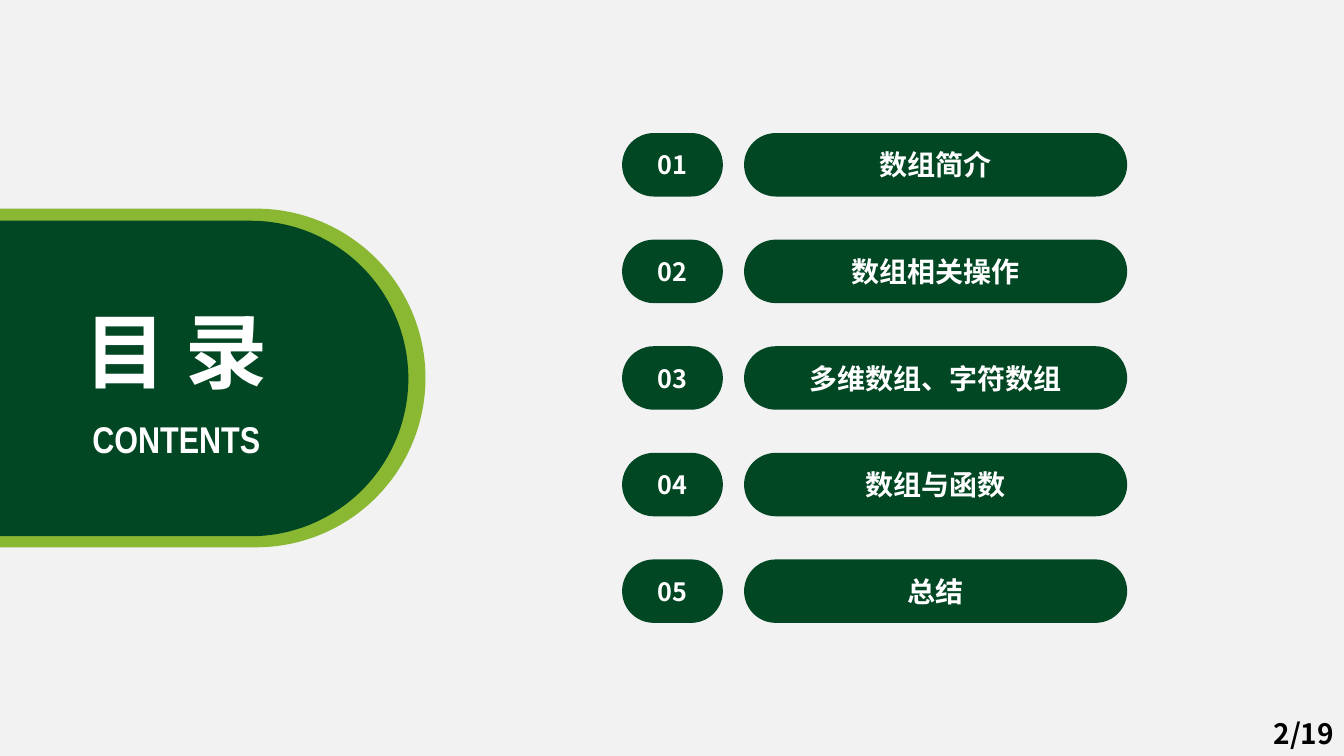
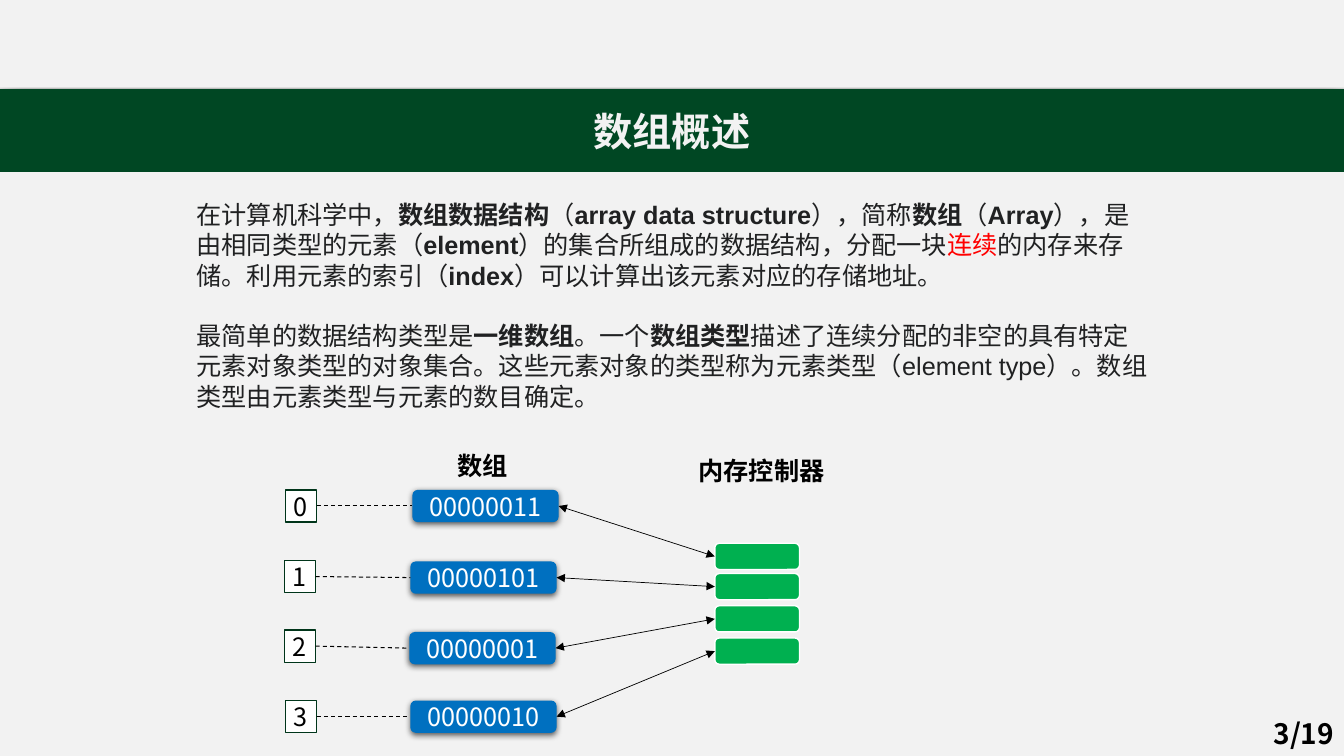
from lxml import etree
from pptx import Presentation
from pptx.dml.color import RGBColor
from pptx.enum.dml import MSO_LINE
from pptx.enum.shapes import MSO_CONNECTOR, MSO_SHAPE
from pptx.enum.text import MSO_ANCHOR, PP_ALIGN
from pptx.oxml.ns import qn
from pptx.util import Pt

PX = 9144
SLIDE_W, SLIDE_H = 1333, 750
PAGE_COUNT = 19

RECT, ROUNDED = MSO_SHAPE.RECTANGLE, MSO_SHAPE.ROUNDED_RECTANGLE
STRAIGHT = MSO_CONNECTOR.STRAIGHT
LEFT, CENTER, RIGHT = PP_ALIGN.LEFT, PP_ALIGN.CENTER, PP_ALIGN.RIGHT
TOP, MIDDLE = MSO_ANCHOR.TOP, MSO_ANCHOR.MIDDLE
DASH = MSO_LINE.DASH
SITE_LEFT, SITE_RIGHT = 1, 3

BACKGROUND = RGBColor(0xF2, 0xF2, 0xF2)
WHITE = RGBColor(0xFF, 0xFF, 0xFF)
BLACK = RGBColor(0x00, 0x00, 0x00)
DARK_GREEN = RGBColor(0x01, 0x47, 0x23)
BAND_GREEN = RGBColor(0x00, 0x47, 0x23)
BORDER_GREEN = RGBColor(0x00, 0x35, 0x1A)
LIME = RGBColor(0x8A, 0xB8, 0x33)
BLUE = RGBColor(0x00, 0x70, 0xC0)
MEMORY_GREEN = RGBColor(0x00, 0xB0, 0x50)
INK = RGBColor(0x20, 0x21, 0x22)
RED = RGBColor(0xFF, 0x00, 0x00)

SANS, LATIN, NARROW = "Noto Sans CJK SC", "Arial", "Arial Narrow"

CHAPTERS = ["数组简介", "数组相关操作", "多维数组、字符数组", "数组与函数", "总结"]
CHAPTER_TOP, CHAPTER_STEP, CHAPTER_H = 132, 105.75, 63

PLAIN, BOLD, ACCENT = "plain", "bold", "accent"
OVERVIEW = [
    [
        ("在计算机科学中，", PLAIN),
        ("数组数据结构", BOLD),
        ("（", PLAIN),
        ("array data structure", BOLD),
        ("），简称", PLAIN),
        ("数组", BOLD),
        ("（", PLAIN),
        ("Array", BOLD),
        ("），是由相同类型的元素（", PLAIN),
        ("element", BOLD),
        ("）的集合所组成的数据结构，分配一块", PLAIN),
        ("连续", ACCENT),
        ("的内存来存储。利用元素的索引（", PLAIN),
        ("index", BOLD),
        ("）可以计算出该元素对应的存储地址。", PLAIN),
    ],
    [
        ("最简单的数据结构类型是", PLAIN),
        ("一维数组", BOLD),
        ("。一个", PLAIN),
        ("数组类型", BOLD),
        ("描述了连续分配的非空的具有特定元素对象类型的对象集合。"
         "这些元素对象的类型称为元素类型（element type）。"
         "数组类型由元素类型与元素的数目确定。", PLAIN),
    ],
]
OVERVIEW_LINE = Pt(21.6)

ELEMENTS = [
    {"value": "00000011", "index_at": (283, 486), "cell_at": (409, 486), "memory_top": 539},
    {"value": "00000101", "index_at": (282, 556), "cell_at": (407, 557), "memory_top": 569},
    {"value": "00000001", "index_at": (282, 625), "cell_at": (406, 627), "memory_top": 601},
    {"value": "00000010", "index_at": (283, 695), "cell_at": (407, 695), "memory_top": 633},
]
DIAGRAM_LABELS = [("数组", (444, 442, 71, 40)), ("内存控制器", (683, 447, 146, 40))]


def emu(lengths):
    return [round(length * PX) for length in lengths]


def style(paragraph, size, color, font=SANS, bold=False, align=CENTER):
    paragraph.alignment = align
    paragraph.font.size = Pt(size)
    paragraph.font.bold = bold
    paragraph.font.color.rgb = color
    paragraph.font.name = font
    defaults = paragraph._p.pPr.find(qn("a:defRPr"))
    etree.SubElement(defaults, qn("a:ea"), typeface=font)


def add_shadow(shape, alpha, blur, distance):
    effects = shape._element.spPr.find(qn("a:effectLst"))
    shadow = etree.SubElement(
        effects, qn("a:outerShdw"), blurRad=str(Pt(blur)), dist=str(Pt(distance)),
        dir="5400000", algn="t", rotWithShape="0")
    color = etree.SubElement(shadow, qn("a:srgbClr"), val=str(BLACK))
    etree.SubElement(color, qn("a:alpha"), val=str(alpha * 1000))


def add_block(slide, kind, box, fill, border=None, radius=None):
    block = slide.shapes.add_shape(kind, *emu(box))
    block.shadow.inherit = False
    block.fill.solid()
    block.fill.fore_color.rgb = fill
    if border is None:
        block.line.fill.background()
    else:
        block.line.color.rgb = border
        block.line.width = Pt(1)
    if radius is not None:
        block.adjustments[0] = radius
    return block


def write(block, text, size, color, bold=False):
    frame = block.text_frame
    frame.margin_left = frame.margin_right = 0
    frame.vertical_anchor = MIDDLE
    frame.text = text
    style(frame.paragraphs[0], size, color, bold=bold)


def add_text(slide, box, text, size, color, font=SANS, align=CENTER, anchor=TOP):
    frame = slide.shapes.add_textbox(*emu(box)).text_frame
    frame.vertical_anchor = anchor
    frame.word_wrap = False
    frame.text = text
    style(frame.paragraphs[0], size, color, font, True, align)


def join(slide, start, end, width, dash=None, arrows=False):
    link = slide.shapes.add_connector(STRAIGHT, 0, 0, 0, 0)
    link.begin_connect(start, SITE_RIGHT)
    link.end_connect(end, SITE_LEFT)
    link.line.color.rgb = BLACK
    link.line.width = Pt(width)
    if dash is not None:
        link.line.dash_style = dash
    if arrows:
        outline = link.line._get_or_add_ln()
        for tip in ("a:headEnd", "a:tailEnd"):
            etree.SubElement(outline, qn(tip), type="triangle")
    etree.SubElement(link._element.spPr, qn("a:effectLst"))


def new_slide(deck):
    slide = deck.slides.add_slide(deck.slide_layouts[6])
    slide.background.fill.solid()
    slide.background.fill.fore_color.rgb = BACKGROUND
    return slide


def add_page_number(slide, number):
    add_text(slide, (1033, 707, 300, 40), f"{number}/{PAGE_COUNT}", 20, BLACK,
             align=RIGHT, anchor=MIDDLE)


def build_contents(deck):
    slide = new_slide(deck)
    add_block(slide, ROUNDED, (-196, 207, 618, 336), LIME, radius=0.5)
    add_block(slide, ROUNDED, (-170, 219, 575, 313), DARK_GREEN, radius=0.5)
    for position, chapter in enumerate(CHAPTERS):
        top = CHAPTER_TOP + position * CHAPTER_STEP
        for left, width, text, size in ((617, 100, f"{position + 1:02}", 18),
                                        (738, 380, chapter, 20)):
            pill = add_block(slide, ROUNDED, (left, top, width, CHAPTER_H),
                             DARK_GREEN, radius=0.5)
            write(pill, text, size, WHITE, bold=True)
    add_text(slide, (62, 408, 226, 55), "CONTENTS", 26.6, WHITE, font=NARROW)
    add_text(slide, (70, 293, 209, 109), "目 录", 58.6, WHITE)
    add_page_number(slide, 2)


def add_overview(slide):
    frame = slide.shapes.add_textbox(*emu((185, 193, 964, 222))).text_frame
    frame.word_wrap = True
    for position, pieces in enumerate(OVERVIEW):
        paragraph = frame.add_paragraph() if position else frame.paragraphs[0]
        paragraph.line_spacing = OVERVIEW_LINE
        if position:
            paragraph.space_before = OVERVIEW_LINE
        style(paragraph, 18, INK, LATIN, align=LEFT)
        for text, emphasis in pieces:
            run = paragraph.add_run()
            run.text = text
            if emphasis == BOLD:
                run.font.bold = True
            elif emphasis == ACCENT:
                run.font.color.rgb = RED


def build_overview(deck):
    slide = new_slide(deck)
    header = add_block(slide, RECT, (0, 0, SLIDE_W, 87), BACKGROUND)
    add_shadow(header, 29, 18, 4)
    band = add_block(slide, RECT, (0, 89, SLIDE_W, 81), BAND_GREEN, border=BAND_GREEN)
    write(band, "数组概述", 28, BACKGROUND, bold=True)
    add_overview(slide)
    for number, element in enumerate(ELEMENTS):
        cell = add_block(slide, ROUNDED, (*element["cell_at"], 145, 32), BLUE)
        add_shadow(cell, 63, 4.5, 1.5)
        write(cell, element["value"], 18, WHITE)
        index = add_block(slide, RECT, (*element["index_at"], 31, 32), WHITE,
                          border=BORDER_GREEN)
        write(index, str(number), 18, BLACK)
        memory = add_block(slide, ROUNDED, (709, element["memory_top"], 84, 26),
                           MEMORY_GREEN, border=WHITE)
        join(slide, index, cell, 0.75, dash=DASH)
        join(slide, cell, memory, 0.5, arrows=True)
    for label, box in DIAGRAM_LABELS:
        add_text(slide, box, label, 18, BLACK, align=LEFT)
    add_page_number(slide, 3)


def main():
    deck = Presentation()
    deck.slide_width, deck.slide_height = emu((SLIDE_W, SLIDE_H))
    build_contents(deck)
    build_overview(deck)
    deck.save("out.pptx")


if __name__ == "__main__":
    main()
